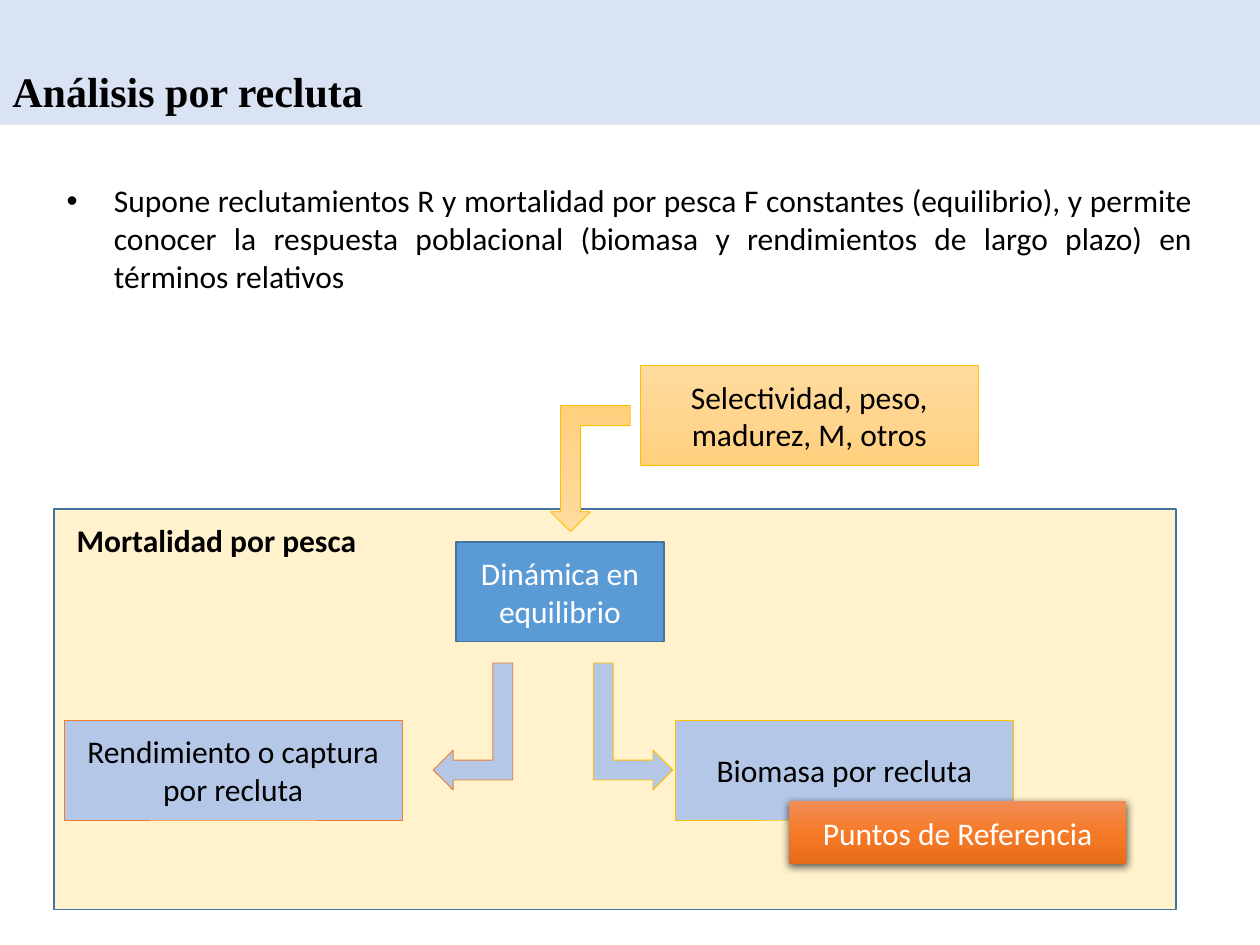
from dataclasses import dataclass

from copy import deepcopy
from lxml import etree
from pptx import Presentation
from pptx.dml.color import RGBColor
from pptx.enum.shapes import MSO_SHAPE
from pptx.enum.text import MSO_ANCHOR, PP_ALIGN
from pptx.oxml.ns import qn
from pptx.util import Pt

RECTANGLE = MSO_SHAPE.RECTANGLE
BENT_ARROW = MSO_SHAPE.BENT_UP_ARROW
LEFT, CENTER, JUSTIFY = PP_ALIGN.LEFT, PP_ALIGN.CENTER, PP_ALIGN.JUSTIFY
MIDDLE, BOTTOM = MSO_ANCHOR.MIDDLE, MSO_ANCHOR.BOTTOM

BLACK, WHITE = "000000", "FFFFFF"
BLUE, NAVY, PALE_BLUE = "5B9BD5", "43739E", "B4C7E7"
GOLD, ORANGE = "FFC000", "ED7D31"
SAND_GRADIENT = ("FFDB9E", "FFD590", "FFD07C")
ORANGE_GRADIENT = ("F18C57", "F67B28", "E56C19")

WIDE, TALL = 193, 57  # common size of the labelled boxes
ARROW_LONG, ARROW_SHORT = 72.5, 45.5


@dataclass
class Block:
    left: float
    top: float
    width: float
    height: float
    fill: str | tuple[str, ...]
    line: str | None = None
    line_width: float = 0.5
    text: str = ""
    text_color: str = BLACK
    shape: MSO_SHAPE = RECTANGLE
    rotation: float = 0
    flipped: bool = False
    shadow: bool = False


def color(value: str) -> RGBColor:
    return RGBColor.from_string(value)


def write(box, text: str, *, size: float = 18, font: str = "Calibri",
          ink: str = BLACK, bold: bool = False, align=LEFT, bullet: bool = False):
    """Put one formatted paragraph in a box and return it."""
    para = box.text_frame.paragraphs[0]
    para.alignment = align
    if bullet:
        properties = para._p.get_or_add_pPr()
        properties.set("marL", str(Pt(27)))
        properties.set("indent", str(-Pt(27)))
        etree.SubElement(properties, qn("a:buFont")).set("typeface", "Arial")
        etree.SubElement(properties, qn("a:buChar")).set("char", "•")
    span = para.add_run()
    span.text = text
    span.font.name = font
    span.font.size = Pt(size)
    span.font.bold = bold
    span.font.color.rgb = color(ink)
    return para


def paint_gradient(box, colors: tuple[str, ...]) -> None:
    """Fill a shape from top to bottom with evenly spaced colours."""
    box.fill.gradient()
    box.fill.gradient_angle = 270
    stop_list = box._element.spPr.find(".//" + qn("a:gsLst"))
    while len(stop_list) < len(colors):
        stop_list.append(deepcopy(stop_list[0]))
    for index, (stop, value) in enumerate(zip(box.fill.gradient_stops, colors)):
        stop.position = index / (len(colors) - 1)
        stop.color.rgb = color(value)


def add_soft_shadow(box) -> None:
    effects = box._element.spPr.find(qn("a:effectLst"))
    shadow = etree.SubElement(effects, qn("a:outerShdw"), blurRad=str(Pt(4.5)),
                              dist=str(Pt(1.5)), dir="5400000", rotWithShape="0")
    tone = etree.SubElement(shadow, qn("a:srgbClr"), val=BLACK)
    etree.SubElement(tone, qn("a:alpha"), val="63000")


def draw_block(page, block: Block):
    box = page.shapes.add_shape(block.shape, Pt(block.left), Pt(block.top),
                                Pt(block.width), Pt(block.height))
    box.shadow.inherit = False
    box.rotation = block.rotation
    if block.flipped:
        box._element.spPr.find(qn("a:xfrm")).set("flipH", "1")
    if isinstance(block.fill, tuple):
        paint_gradient(box, block.fill)
    else:
        box.fill.solid()
        box.fill.fore_color.rgb = color(block.fill)
    if block.line:
        box.line.color.rgb = color(block.line)
        box.line.width = Pt(block.line_width)
    else:
        box.line.fill.background()
    if block.shadow:
        add_soft_shadow(box)
    if block.text:
        box.text_frame.word_wrap = True
        box.text_frame.vertical_anchor = MIDDLE
        write(box, block.text, ink=block.text_color, align=CENTER)
    return box


def add_text_box(page, left: float, top: float, width: float, height: float,
                 text: str, *, wrap: bool = True, **text_format):
    box = page.shapes.add_textbox(Pt(left), Pt(top), Pt(width), Pt(height))
    box.text_frame.word_wrap = wrap
    write(box, text, **text_format)
    return box


def main() -> None:
    deck = Presentation()
    deck.slide_width, deck.slide_height = Pt(720), Pt(540)
    page = deck.slides.add_slide(deck.slide_layouts[6])

    # Fishing mortality panel and introduction
    draw_block(page, Block(31, 291, 641, 228.7, "FFF2CC", NAVY, 1))
    add_text_box(
        page, 31, 100, 657.5, 72.7,
        "Supone reclutamientos R y mortalidad por pesca F constantes (equilibrio), "
        "y permite conocer la respuesta poblacional (biomasa y rendimientos de "
        "largo plazo) en términos relativos",
        align=JUSTIFY, bullet=True)

    # Flow: inputs, equilibrium dynamics, results per recruit
    flow = [
        Block(260.5, 309.6, 119, TALL, BLUE, NAVY, 1, "Dinámica en equilibrio", WHITE),
        Block(366, 208.8, WIDE, TALL, SAND_GRADIENT, GOLD,
              text="Selectividad, peso, madurez, M, otros"),
        Block(314.6, 231.8, ARROW_SHORT, 72, SAND_GRADIENT, GOLD,
              shape=BENT_ARROW, rotation=180),
        Block(386, 411.6, WIDE, TALL, PALE_BLUE, GOLD, text="Biomasa por recluta"),
        Block(36.7, 411.6, WIDE, TALL, PALE_BLUE, ORANGE,
              text="Rendimiento o captura por recluta"),
        Block(325.5, 392.4, ARROW_LONG, ARROW_SHORT, PALE_BLUE, GOLD,
              shape=BENT_ARROW, rotation=90),
        Block(234, 392.4, ARROW_LONG, ARROW_SHORT, PALE_BLUE, ORANGE,
              shape=BENT_ARROW, rotation=270, flipped=True),
    ]
    for block in flow:
        draw_block(page, block)

    # Title band
    band = draw_block(page, Block(0, 0, 720, 71.3, "DAE3F3"))
    band.text_frame.word_wrap = True
    band.text_frame.vertical_anchor = BOTTOM
    band.text_frame.margin_bottom = Pt(5)
    title = write(band, "Análisis por recluta", size=24,
                  font="Times New Roman", bold=True)
    title.line_spacing = 0.9

    # Panel heading and reference points
    add_text_box(page, 36.7, 294, 175.7, 29, "Mortalidad por pesca",
                 wrap=False, bold=True)
    draw_block(page, Block(450.7, 457.7, WIDE, 36, ORANGE_GRADIENT,
                           text="Puntos de Referencia", text_color=WHITE, shadow=True))

    deck.save("out.pptx")


if __name__ == "__main__":
    main()
